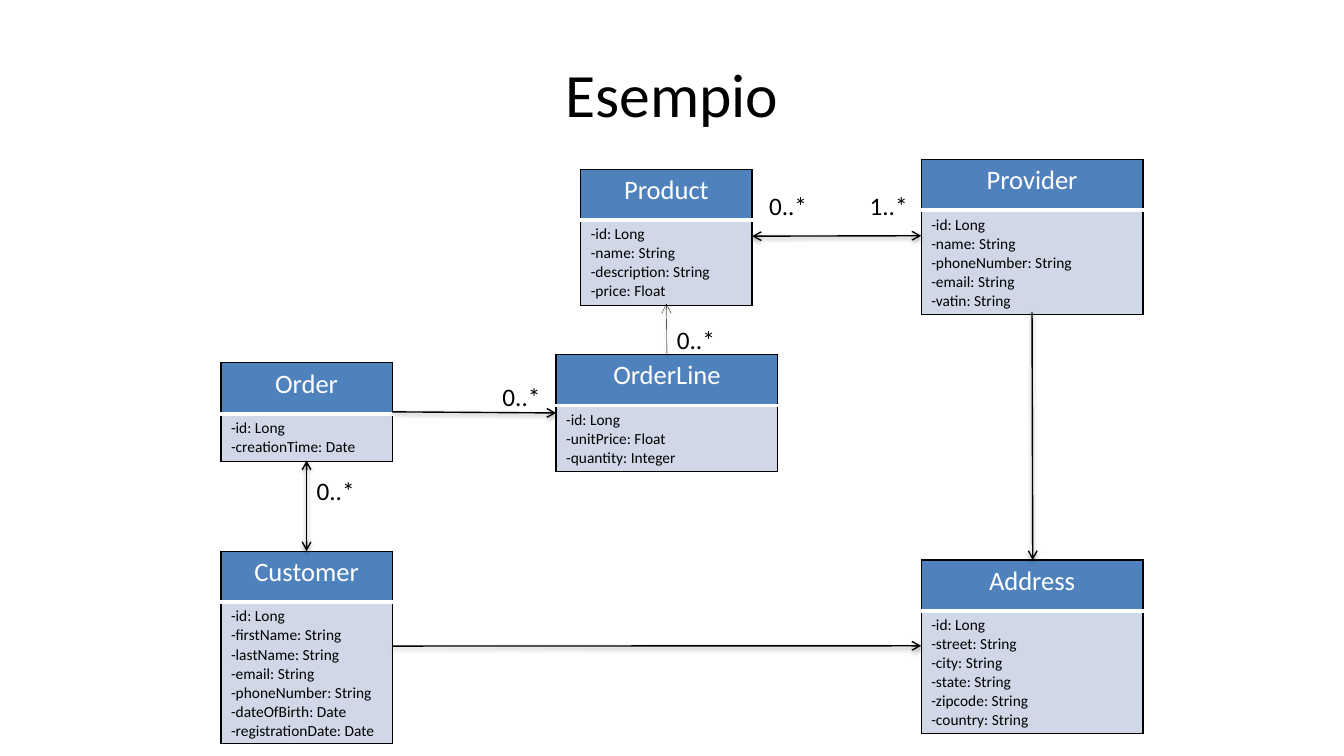
from lxml import etree
from pptx import Presentation
from pptx.dml.color import RGBColor
from pptx.enum import shapes, text
from pptx.oxml import parse_xml
from pptx.oxml.ns import nsdecls, qn
from pptx.util import Pt

BLACK = RGBColor(0x00, 0x00, 0x00)
WHITE = RGBColor(0xFF, 0xFF, 0xFF)
HEADER_BLUE = RGBColor(0x4F, 0x81, 0xBD)
BODY_BLUE = RGBColor(0xD0, 0xD8, 0xE8)
HEADER_HEIGHT = 36.4
LINE_HEIGHT = 13.4
CELL_PADDING = 7.2

# name: (left, top, width, attributes)
CLASSES = {
    "Product": (414.8, 120.8, 122.4,
                ["id: Long", "name: String", "description: String", "price: Float"]),
    "Provider": (658, 113.8, 158.4,
                 ["id: Long", "name: String", "phoneNumber: String", "email: String",
                  "vatin: String"]),
    "Order": (157.8, 259.2, 122.4, ["id: Long", "creationTime: Date"]),
    "OrderLine": (397.2, 253.2, 158.4,
                  ["id: Long", "unitPrice: Float", "quantity: Integer"]),
    "Customer": (157.8, 393.7, 122.4,
                 ["id: Long", "firstName: String", "lastName: String", "email: String",
                  "phoneNumber: String", "dateOfBirth: Date", "registrationDate: Date"]),
    "Address": (658, 400, 158.4,
                ["id: Long", "street: String", "city: String", "state: String",
                 "zipcode: String", "country: String"]),
}

# from x, from y, to x, to y, line width, arrow at both ends
ASSOCIATIONS = [
    (537.2, 168.7, 658, 168.4, 1, True),       # Product - Provider
    (280.2, 294.2, 397.2, 295, 1, False),      # Order - OrderLine
    (476.4, 253.2, 476, 217, 0.25, False),     # OrderLine - Product
    (280.2, 461.5, 658, 461.3, 1, False),      # Customer - Address
    (219, 393.7, 219, 329, 1, True),           # Customer - Order
    (737.2, 223.2, 737.7, 400, 1, False),      # Provider - Address
]

MULTIPLICITIES = [
    ("1..*", 614, 132.7),
    ("0..*", 542.2, 132.7),
    ("0..*", 351.8, 268.5),
    ("0..*", 219, 336),
    ("0..*", 476.4, 228),
]

SHADOW = (
    f'<a:effectLst {nsdecls("a")}><a:outerShdw blurRad="{Pt(3.1)}" dist="{Pt(1.6)}" '
    'dir="5400000" rotWithShape="0"><a:srgbClr val="000000"><a:alpha val="38000"/>'
    '</a:srgbClr></a:outerShdw></a:effectLst>'
)


def write(frame, lines, size, color, align):
    for index, line in enumerate(lines):
        paragraph = frame.paragraphs[0] if index == 0 else frame.add_paragraph()
        paragraph.alignment = align
        run = paragraph.add_run()
        run.text = line
        font = {"name": "Calibri", "size": Pt(size), "bold": False}
        for key, value in font.items():
            setattr(run.font, key, value)
        run.font.color.rgb = color


def paint_cell(cell, fill, top, bottom):
    """Set the borders and fill; top and bottom are (colour, width) pairs."""
    borders = {"lnL": (BLACK, 1), "lnR": (BLACK, 1), "lnT": top, "lnB": bottom}
    properties = cell._tc.get_or_add_tcPr()
    for tag, (color, width) in borders.items():
        properties.append(parse_xml(
            f'<a:{tag} {nsdecls("a")} w="{Pt(width)}"><a:solidFill>'
            f'<a:srgbClr val="{color}"/></a:solidFill></a:{tag}>'))
    cell.fill.solid()
    cell.fill.fore_color.rgb = fill


deck = Presentation()
deck.slide_width, deck.slide_height = Pt(960), Pt(540)
slide = deck.slides.add_slide(deck.slide_layouts[6])

title = slide.shapes.add_textbox(Pt(48), Pt(21.6), Pt(864), Pt(90)).text_frame
title.word_wrap = True
title.vertical_anchor = text.MSO_ANCHOR.MIDDLE
write(title, ["Esempio"], 44, BLACK, text.PP_ALIGN.CENTER)

for name, (left, top, width, attributes) in CLASSES.items():
    body_height = LINE_HEIGHT * len(attributes) + CELL_PADDING
    table = slide.shapes.add_table(
        2, 1, Pt(left), Pt(top), Pt(width), Pt(HEADER_HEIGHT + body_height)).table
    table.rows[0].height = Pt(HEADER_HEIGHT)
    table.rows[1].height = Pt(body_height)
    header, body = table.cell(0, 0), table.cell(1, 0)
    write(header.text_frame, [name], 19, WHITE, text.PP_ALIGN.CENTER)
    write(body.text_frame, [f"-{attribute}" for attribute in attributes],
          11, BLACK, text.PP_ALIGN.LEFT)
    paint_cell(header, HEADER_BLUE, (BLACK, 1), (WHITE, 3))
    paint_cell(body, BODY_BLUE, (WHITE, 1), (BLACK, 1))

for *ends, width, both_ways in ASSOCIATIONS:
    association = slide.shapes.add_connector(
        shapes.MSO_CONNECTOR.STRAIGHT, *[Pt(end) for end in ends])
    association.line.color.rgb = BLACK
    association.line.width = Pt(width)
    outline = association.line._get_or_add_ln()
    for tag in ["a:headEnd", "a:tailEnd"] if both_ways else ["a:tailEnd"]:
        etree.SubElement(outline, qn(tag), type="arrow")
    association._element.spPr.append(parse_xml(SHADOW))

for multiplicity, left, top in MULTIPLICITIES:
    label = slide.shapes.add_textbox(Pt(left), Pt(top), Pt(41.8), Pt(29)).text_frame
    label.word_wrap = False
    label.auto_size = text.MSO_AUTO_SIZE.SHAPE_TO_FIT_TEXT
    write(label, [multiplicity], 18, BLACK, text.PP_ALIGN.LEFT)

deck.save("out.pptx")
